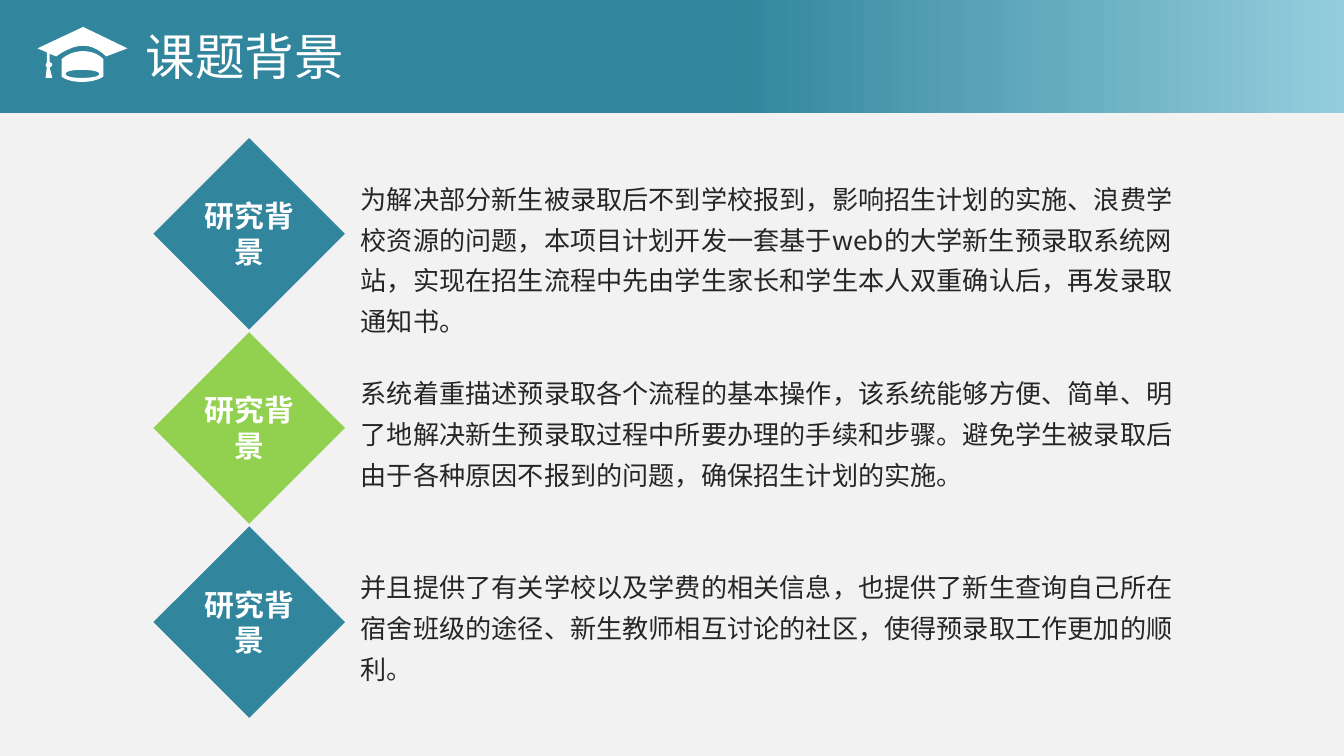
from lxml.etree import SubElement
from pptx import Presentation
from pptx.dml.color import RGBColor
from pptx.enum.shapes import MSO_SHAPE as Shape
from pptx.enum.text import MSO_ANCHOR as Anchor, MSO_AUTO_SIZE as AutoSize, PP_ALIGN as Align
from pptx.oxml.ns import qn
from pptx.util import Cm, Pt

FONT = "Noto Sans CJK SC"
TEAL, GREEN, SKY = "31859C", "92D050", "93CDDD"
WHITE, INK, PAPER = "FFFFFF", "262626", "F2F2F2"
TOPICS = [
    ("研究背景", TEAL, "为解决部分新生被录取后不到学校报到，影响招生计划的实施、浪费学校资源的问题，"
     "本项目计划开发一套基于web的大学新生预录取系统网站，"
     "实现在招生流程中先由学生家长和学生本人双重确认后，再发录取通知书。"),
    ("研究背景", GREEN, "系统着重描述预录取各个流程的基本操作，该系统能够方便、简单、"
     "明了地解决新生预录取过程中所要办理的手续和步骤。"
     "避免学生被录取后由于各种原因不报到的问题，确保招生计划的实施。"),
    ("研究背景", TEAL, "并且提供了有关学校以及学费的相关信息，"
     "也提供了新生查询自己所在宿舍班级的途径、新生教师相互讨论的社区，"
     "使得预录取工作更加的顺利。"),
]
CAP_UNITS = (67, 41)
CAP_BOARD = [
    (51, 22), (51, 22, 44, 14, 34, 14), (24, 14, 14, 22, 14, 22), (9, 20), (9, 26),
    (10, 27, 11, 27, 11, 28), (11, 29, 10, 30, 9, 30), (11, 38), (6, 38), (7, 30),
    (7, 30, 6, 29, 6, 28), (6, 28, 7, 27, 7, 26), (7, 19), (0, 16), (34, 0), (67, 16),
]
CAP_CROWN = [
    (34, 18), (44, 18, 49, 24, 49, 24), (49, 37), (49, 37, 44, 41, 33, 41),
    (22, 41, 18, 37, 18, 37), (18, 24), (18, 24, 24, 18, 34, 18),
]
CAP_OPENING = [
    (33, 38), (40, 38, 46, 37, 46, 35), (46, 33, 40, 32, 33, 32),
    (26, 32, 21, 33, 21, 35), (21, 37, 26, 38, 33, 38),
]


def color(hex_string):
    """Return the colour for a hex string."""
    return RGBColor.from_string(hex_string)


def paint(shape, fill):
    """Give a shape a flat fill without line or shadow."""
    shape.fill.solid()
    shape.fill.fore_color.rgb = color(fill)
    shape.line.fill.background()
    shape.shadow.inherit = False


def write(shape, text, *, size, ink, bold=False, align=Align.LEFT, anchor=Anchor.TOP,
          spacing=1.0, inset=0.25, auto_size=AutoSize.NONE):
    """Write one formatted paragraph into a shape."""
    frame = shape.text_frame
    frame.word_wrap = True
    frame.auto_size = auto_size
    frame.vertical_anchor = anchor
    frame.margin_left = frame.margin_right = Cm(inset)
    frame.margin_top = frame.margin_bottom = Cm(0.13)
    paragraph = frame.paragraphs[0]
    paragraph.alignment = align
    paragraph.line_spacing = spacing
    run = paragraph.add_run()
    run.text = text
    run.font.size, run.font.bold, run.font.name = Pt(size), bold, FONT
    run.font.color.rgb = color(ink)
    SubElement(run.font._element, qn("a:ea"), typeface=FONT)


def flatten(contour, steps=8):
    """Turn a contour of lines and cubic curves into a list of points."""
    points = [contour[0]]
    for segment in contour[1:]:
        if len(segment) == 2:
            points.append(segment)
            continue
        start = points[-1]
        for step in range(1, steps + 1):
            t = step / steps
            weights = ((1 - t) ** 3, 3 * t * (1 - t) ** 2, 3 * t * t * (1 - t), t ** 3)
            controls = (start, segment[:2], segment[2:4], segment[4:])
            points.append(tuple(sum(weight * point[axis] for weight, point in zip(weights, controls))
                                for axis in (0, 1)))
    return points


def add_cap(slide, left, top, width, height):
    """Draw the graduation cap inside a box."""
    def place(point):
        return (Cm(left + point[0] * width / CAP_UNITS[0]),
                Cm(top + point[1] * height / CAP_UNITS[1]))

    contours = [[place(point) for point in flatten(contour)]
                for contour in (CAP_BOARD, CAP_CROWN, CAP_OPENING)]
    builder = slide.shapes.build_freeform(*contours[0][0])
    for index, points in enumerate(contours):
        if index:
            builder.move_to(*points[0])
        builder.add_line_segments(points[1:], close=True)
    paint(builder.convert_to_shape(), WHITE)


def add_header(slide, text, left, top, width, height):
    """Place the gradient band with its cap and title."""
    band = slide.shapes.add_shape(Shape.RECTANGLE, Cm(left), Cm(top), Cm(width), Cm(height))
    paint(band, TEAL)
    band.fill.gradient()
    band.fill.gradient_angle = 180
    for stop, position, hex_string in zip(band.fill.gradient_stops, (0, 0.46), (SKY, TEAL)):
        stop.position = position
        stop.color.rgb = color(hex_string)
    add_cap(slide, left + 0.71, top + 0.51, 1.7, 1.04)

    title = slide.shapes.title
    title.left, title.top = Cm(left + 2.5), Cm(top + 0.36)
    title.width, title.height = Cm(10.72), Cm(1.4)
    write(title, text, size=26.6, ink=WHITE, anchor=Anchor.MIDDLE)
    band._element.addnext(title._element)


def add_topic(slide, label, fill, text, left, top, width, height):
    """Place a labelled diamond with its description to the right."""
    diamond = slide.shapes.add_shape(Shape.DIAMOND, Cm(left), Cm(top), Cm(height), Cm(height))
    paint(diamond, fill)
    write(diamond, label, size=16, ink=WHITE, bold=True, align=Align.CENTER,
          anchor=Anchor.MIDDLE, inset=0)
    offset = height + 0.06
    description = slide.shapes.add_textbox(Cm(left + offset), Cm(top + 0.55),
                                           Cm(width - offset), Cm(2.57))
    write(description, text, size=14, ink=INK, spacing=1.3, inset=0.24,
          auto_size=AutoSize.SHAPE_TO_FIT_TEXT)


def add_topics(slide, left, top, width, height):
    """Stack the topics at equal steps inside a box."""
    gap = 0.05
    size = (height - gap * (len(TOPICS) - 1)) / len(TOPICS)
    for index, topic in enumerate(TOPICS):
        add_topic(slide, *topic, left, top + index * (size + gap), width, size)


def main():
    """Build and save the presentation."""
    presentation = Presentation()
    presentation.slide_width, presentation.slide_height = Cm(25.4), Cm(14.29)
    slide = presentation.slides.add_slide(presentation.slide_layouts[5])
    slide.background.fill.solid()
    slide.background.fill.fore_color.rgb = color(PAPER)
    add_header(slide, "课题背景", 0, 0, 25.4, 2.13)
    add_topics(slide, 2.9, 2.61, 19.98, 10.96)
    presentation.save("out.pptx")


if __name__ == "__main__":
    main()
